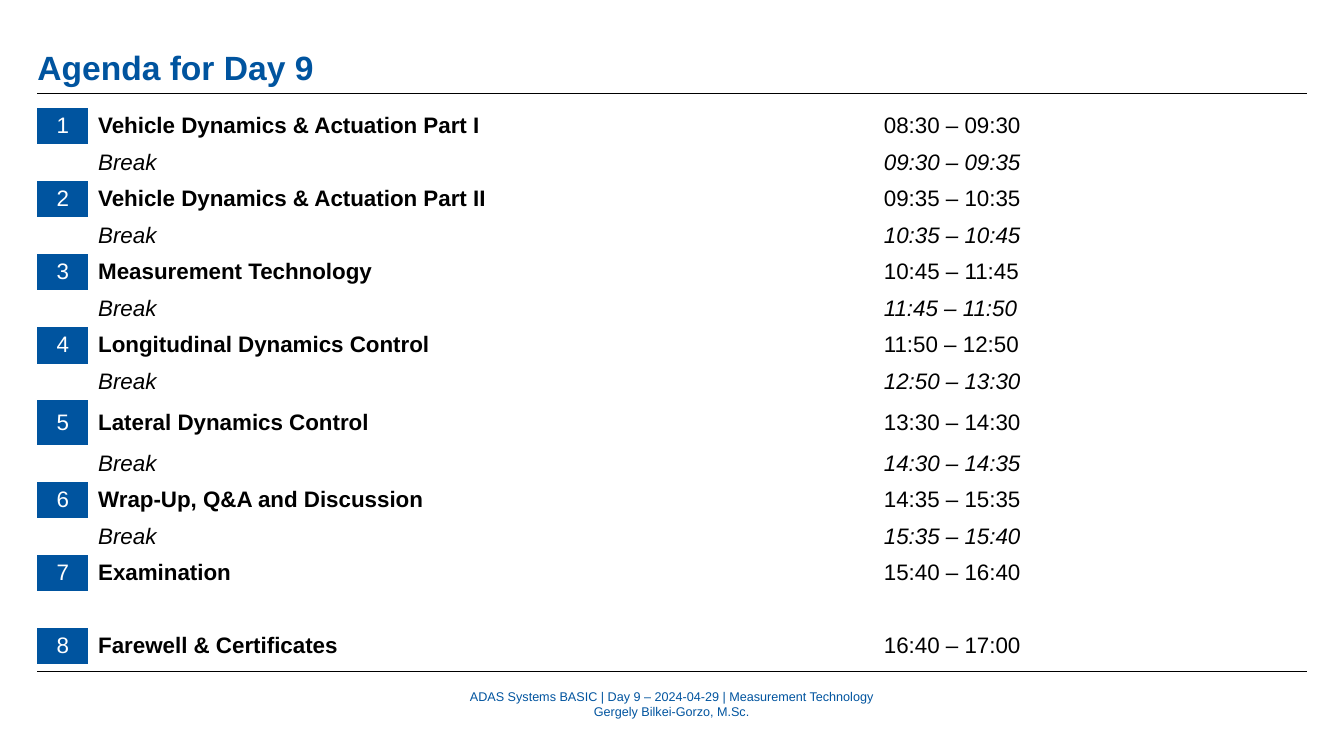
from dataclasses import dataclass

from lxml.etree import SubElement
from pptx import Presentation
from pptx.dml.color import RGBColor
from pptx.enum.shapes import MSO_CONNECTOR
from pptx.enum.text import MSO_ANCHOR, MSO_AUTO_SIZE, PP_ALIGN
from pptx.oxml.ns import qn
from pptx.slide import Slide
from pptx.table import Table, _Cell as Cell
from pptx.text.text import TextFrame
from pptx.util import Cm, Pt

BLUE, BLACK, WHITE = "00549F", "000000", "FFFFFF"
NO_STYLE = "{2D5ABB26-0587-4C30-8999-92F81FD0307C}"
LEFT, WIDTH = 0.94, 32
COLUMN_WIDTHS = (1.28, 19.8, 10.92)
ROW_HEIGHT, TALL_ROW_HEIGHT = 0.92, 1.14
TALL_ROW = 8


@dataclass(frozen=True)
class Session:
    number: str
    topic: str
    time: str


AGENDA = (
    Session("1", "Vehicle Dynamics & Actuation Part I", "08:30 – 09:30"),
    Session("", "Break", "09:30 – 09:35"),
    Session("2", "Vehicle Dynamics & Actuation Part II", "09:35 – 10:35"),
    Session("", "Break", "10:35 – 10:45"),
    Session("3", "Measurement Technology", "10:45 – 11:45"),
    Session("", "Break", "11:45 – 11:50"),
    Session("4", "Longitudinal Dynamics Control", "11:50 – 12:50"),
    Session("", "Break", "12:50 – 13:30"),
    Session("5", "Lateral Dynamics Control", "13:30 – 14:30"),
    Session("", "Break", "14:30 – 14:35"),
    Session("6", "Wrap-Up, Q&A and Discussion", "14:35 – 15:35"),
    Session("", "Break", "15:35 – 15:40"),
    Session("7", "Examination", "15:40 – 16:40"),
    Session("", "", ""),
    Session("8", "Farewell & Certificates", "16:40 – 17:00"),
)


def color(value: str) -> RGBColor:
    return RGBColor.from_string(value)


def apply(target: object, values: dict) -> None:
    for key, value in values.items():
        setattr(target, key, value)


def write(frame: TextFrame, lines: tuple[str, ...], ink: str, align: PP_ALIGN, **style) -> None:
    for index, line in enumerate(lines):
        paragraph = frame.add_paragraph() if index else frame.paragraphs[0]
        paragraph.alignment = align
        run = paragraph.add_run()
        run.text = line
        apply(run.font, {"name": "Arial", **style})
        run.font.color.rgb = color(ink)


def set_frame(frame: TextFrame, anchor: MSO_ANCHOR) -> None:
    apply(frame, {
        "word_wrap": True,
        "auto_size": MSO_AUTO_SIZE.NONE,
        "vertical_anchor": anchor,
        "margin_left": 0,
        "margin_right": 0,
        "margin_top": 0,
        "margin_bottom": 0,
    })


def add_title(slide: Slide) -> None:
    title = slide.shapes.title
    apply(title, {"left": Cm(LEFT), "top": Cm(0.13), "width": Cm(WIDTH), "height": Cm(2.06)})
    set_frame(title.text_frame, MSO_ANCHOR.BOTTOM)
    write(title.text_frame, ("Agenda for Day 9",), BLUE, PP_ALIGN.LEFT, size=Pt(24), bold=True)


def add_rule(slide: Slide, y: float) -> None:
    rule = slide.shapes.add_connector(
        MSO_CONNECTOR.STRAIGHT, Cm(LEFT), Cm(y), Cm(LEFT + WIDTH), Cm(y))
    rule.line.color.rgb = color(BLACK)
    rule.line.width = Pt(0.5)
    SubElement(rule._element.spPr, qn("a:effectLst"))


def add_footer(slide: Slide) -> None:
    footer = slide.shapes.add_textbox(Cm(8.71), Cm(17.15), Cm(16.43), Cm(1.17)).text_frame
    set_frame(footer, MSO_ANCHOR.MIDDLE)
    lines = ("ADAS Systems BASIC | Day 9 – 2024-04-29 | Measurement Technology",
             "Gergely Bilkei-Gorzo, M.Sc.")
    write(footer, lines, BLUE, PP_ALIGN.CENTER, size=Pt(9))


def fill_cell(cell: Cell, text: str, ink: str, align: PP_ALIGN, **style) -> None:
    apply(cell, {"margin_top": 0, "margin_bottom": 0, "vertical_anchor": MSO_ANCHOR.MIDDLE})
    cell.fill.background()
    if text:
        write(cell.text_frame, (text,), ink, align, size=Pt(16), **style)


def fill_session(table: Table, row: int, session: Session) -> None:
    number, topic, time = table.rows[row].cells
    is_break = not session.number
    fill_cell(number, session.number, WHITE, PP_ALIGN.CENTER)
    fill_cell(topic, session.topic, BLACK, PP_ALIGN.LEFT, bold=not is_break, italic=is_break)
    fill_cell(time, session.time, BLACK, PP_ALIGN.LEFT, italic=is_break)
    if session.number:
        number.fill.solid()
        number.fill.fore_color.rgb = color(BLUE)


def add_agenda(slide: Slide) -> None:
    height = ROW_HEIGHT * (len(AGENDA) - 1) + TALL_ROW_HEIGHT
    table = slide.shapes.add_table(
        len(AGENDA), len(COLUMN_WIDTHS), Cm(LEFT), Cm(2.72), Cm(WIDTH), Cm(height)).table
    apply(table, {"first_row": False, "horz_banding": False})
    table._tbl.tblPr.find(qn("a:tableStyleId")).text = NO_STYLE
    for column, width in zip(table.columns, COLUMN_WIDTHS):
        column.width = Cm(width)
    for row, session in enumerate(AGENDA):
        table.rows[row].height = Cm(TALL_ROW_HEIGHT if row == TALL_ROW else ROW_HEIGHT)
        fill_session(table, row, session)


def main() -> None:
    deck = Presentation()
    apply(deck, {"slide_width": Cm(33.87), "slide_height": Cm(19.05)})
    slide = deck.slides.add_slide(deck.slide_layouts.get_by_name("Title Only"))
    add_footer(slide)
    for y in (2.34, 16.92):
        add_rule(slide, y)
    add_agenda(slide)
    add_title(slide)
    deck.save("out.pptx")


if __name__ == "__main__":
    main()
